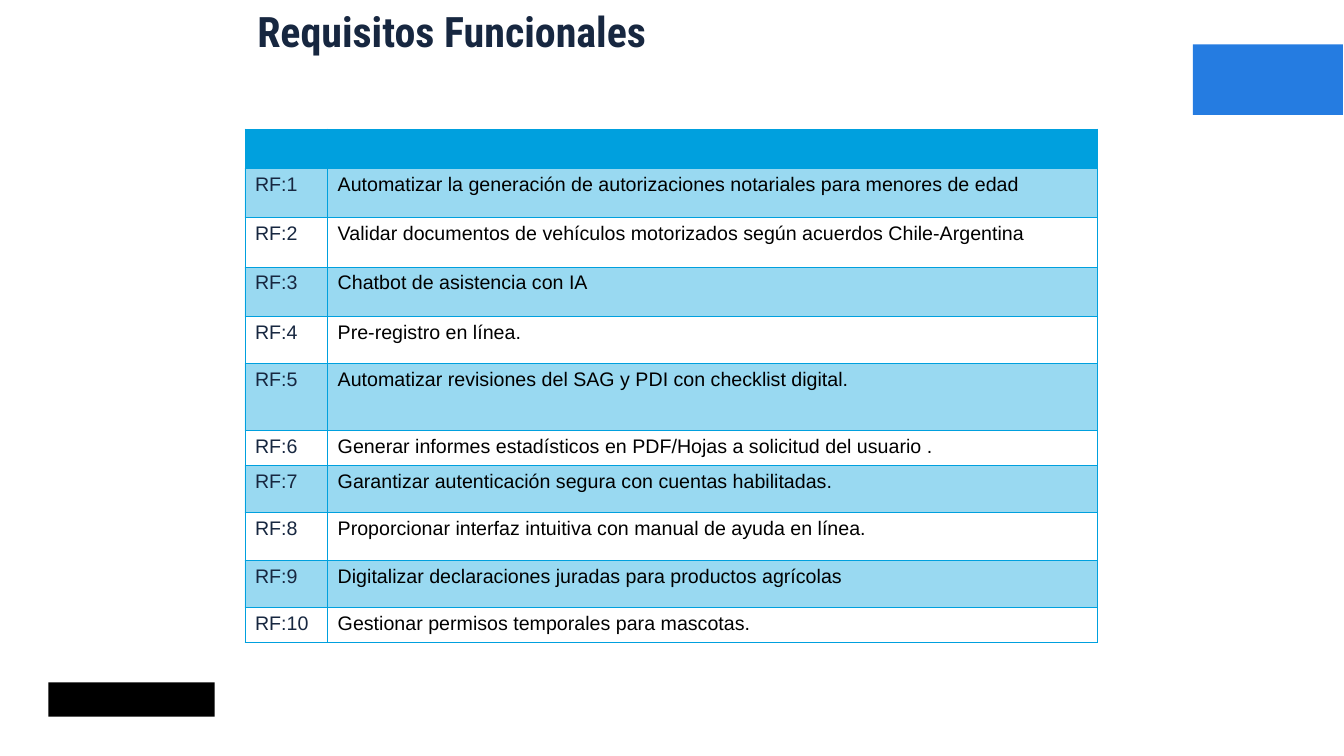
import pptx
import pptx.util
import pptx.oxml
import pptx.oxml.ns
import pptx.dml.color
import pptx.enum.shapes
import pptx.enum.text

Inches = pptx.util.Inches
Pt = pptx.util.Pt
RGBColor = pptx.dml.color.RGBColor

NAVY = RGBColor(0x17, 0x27, 0x40)
BLACK = RGBColor(0, 0, 0)
WHITE = RGBColor(0xFF, 0xFF, 0xFF)
BLUE = RGBColor(0x25, 0x7C, 0xE1)
CYAN = RGBColor(0x00, 0xA0, 0xDE)

NEEDS = [
    ("Automatizar la generación de autorizaciones notariales para menores de edad", 0.49),
    ("Validar documentos de vehículos motorizados según acuerdos Chile-Argentina", 0.49),
    ("Chatbot de asistencia con IA", 0.49),
    ("Pre-registro en línea.", 0.47),
    ("Automatizar revisiones del SAG y PDI con checklist digital.", 0.66),
    ("Generar informes estadísticos en PDF/Hojas a solicitud del usuario .", 0.35),
    ("Garantizar autenticación segura con cuentas habilitadas.", 0.47),
    ("Proporcionar interfaz intuitiva con manual de ayuda en línea.", 0.47),
    ("Digitalizar declaraciones juradas para productos agrícolas", 0.47),
    ("Gestionar permisos temporales para mascotas.", 0.35),
]


class Page:
    def __init__(self, deck):
        self.slide = deck.slides.add_slide(deck.slide_layouts[6])
        self.shapes = self.slide.shapes
        self.slide.background.fill.solid()
        self.slide.background.fill.fore_color.rgb = WHITE

    def style(self, para, face, size, color, bold=False):
        for run in para.runs:
            run.font.name = face
            run.font.size = Pt(size)
            run.font.bold = bold
            run.font.color.rgb = color

    def block(self, left, top, width, height, color):
        box = self.shapes.add_shape(
            pptx.enum.shapes.MSO_SHAPE.RECTANGLE,
            Inches(left), Inches(top), Inches(width), Inches(height))
        box.shadow.inherit = False
        box.fill.solid()
        box.fill.fore_color.rgb = color
        box.line.fill.background()

    def title(self, text, left, top, width, height):
        frame = self.shapes.add_textbox(
            Inches(left), Inches(top), Inches(width), Inches(height)).text_frame
        frame.word_wrap = True
        frame.text = text
        para = frame.paragraphs[0]
        para.alignment = pptx.enum.text.PP_ALIGN.RIGHT
        para.line_spacing = 0.9
        self.style(para, "Roboto Condensed", 30, NAVY, True)

    def edge(self, cell, color):
        """Draw a thin line on all four sides of a cell."""
        props = cell._tc.get_or_add_tcPr()
        for side in "LRTB":
            props.append(pptx.oxml.parse_xml(
                f'<a:ln{side} {pptx.oxml.ns.nsdecls("a")} w="{Pt(0.75)}">'
                f'<a:solidFill><a:srgbClr val="{color}"/></a:solidFill></a:ln{side}>'))

    def tint(self, cell, color, alpha):
        """Fill a cell with a colour at the given percentage of opacity."""
        cell.fill.solid()
        cell.fill.fore_color.rgb = color
        if alpha < 100:
            tone = cell._tc.tcPr.find(".//" + pptx.oxml.ns.qn("a:solidFill")
                                      + "[last()]")
            tone = cell._tc.tcPr.findall(pptx.oxml.ns.qn("a:solidFill"))[0][0]
            tone.append(pptx.oxml.parse_xml(
                f'<a:alpha {pptx.oxml.ns.nsdecls("a")} val="{alpha * 1000}"/>'))

    def table(self, needs, left, top, cols, head):
        highs = [head] + [high for _, high in needs]
        grid = self.shapes.add_table(
            len(highs), len(cols), Inches(left), Inches(top),
            Inches(sum(cols)), Inches(sum(highs))).table
        grid.first_row = False
        grid.horz_banding = False
        for col, width in zip(grid.columns, cols):
            col.width = Inches(width)
        for row, high in zip(grid.rows, highs):
            row.height = Inches(high)
        for cell in grid.iter_cells():
            self.edge(cell, CYAN)
        for cell in grid.rows[0].cells:
            cell.margin_top = cell.margin_bottom = 0
            self.tint(cell, CYAN, 100)
        for num, (need, _) in enumerate(needs, 1):
            texts = (f"RF:{num}", need)
            for cell, text, color in zip(grid.rows[num].cells, texts, (NAVY, BLACK)):
                cell.text_frame.text = text
                self.style(cell.text_frame.paragraphs[0], "Arial", 14, color)
                if num % 2:
                    self.tint(cell, CYAN, 40)
                else:
                    cell.fill.background()


def main():
    deck = pptx.Presentation()
    deck.slide_width = Inches(13.33)
    deck.slide_height = Inches(7.5)
    page = Page(deck)
    page.block(0.48, 6.77, 1.65, 0.34, BLACK)
    page.block(11.83, 0.44, 1.49, 0.7, BLUE)
    page.title("Requisitos Funcionales", 0.26, 0.06, 6.25, 0.89)
    page.table(NEEDS, 2.43, 1.28, (0.82, 7.64), 0.39)
    deck.save("out.pptx")


if __name__ == "__main__":
    main()
